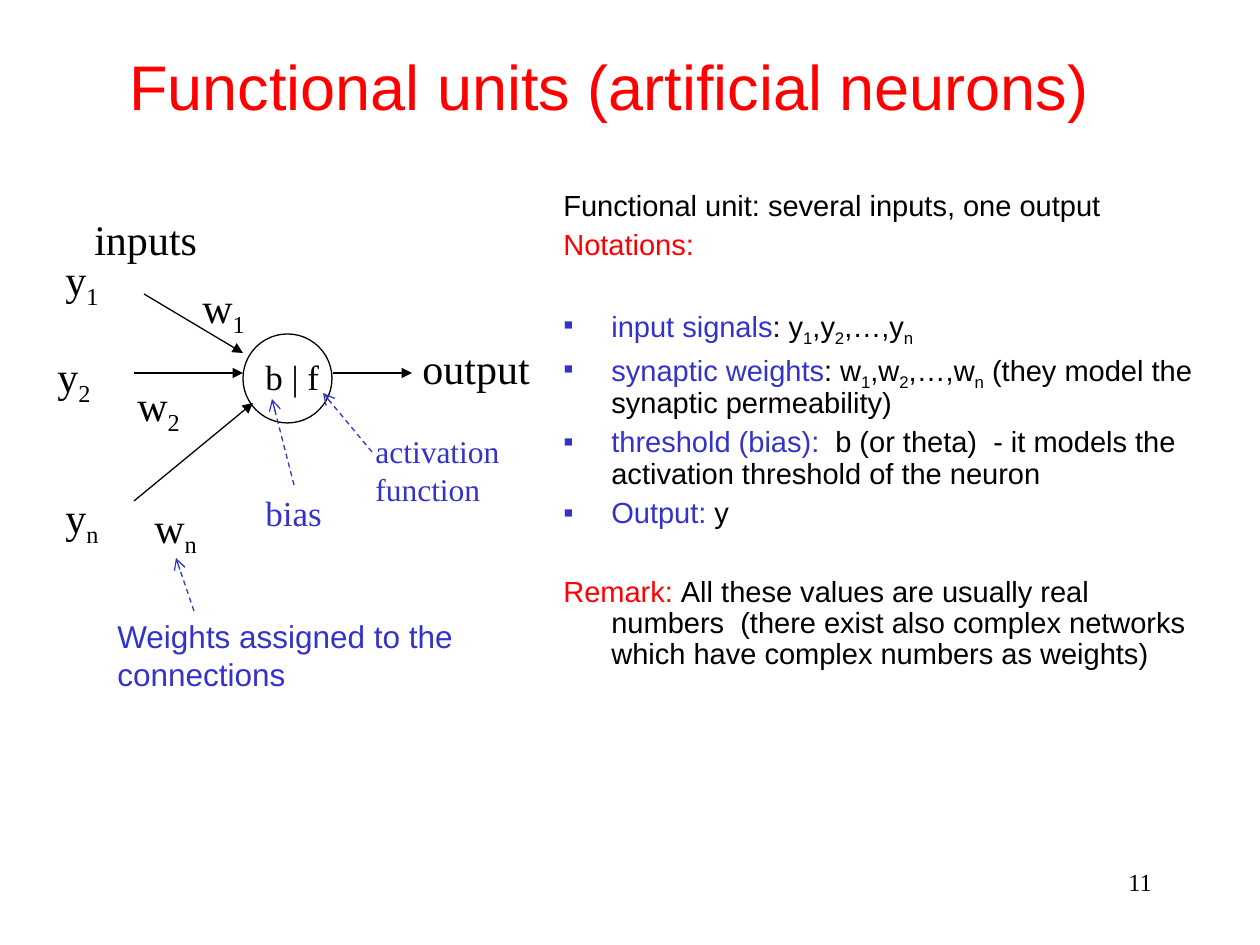
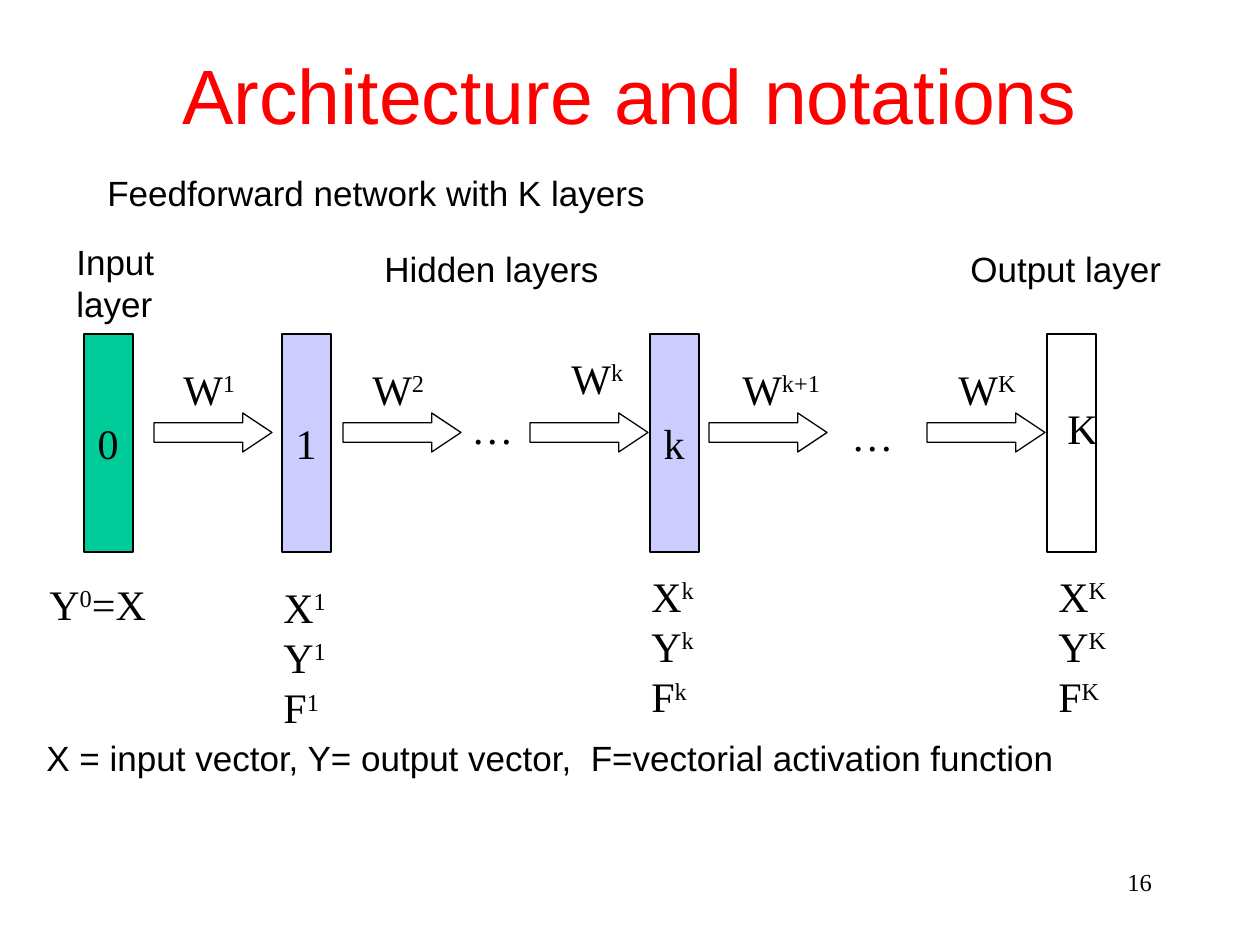
"""Build two slides on artificial neurons and feedforward network notation."""
from lxml import etree
from pptx import Presentation
from pptx.dml.color import RGBColor
from pptx.enum.dml import MSO_LINE
from pptx.enum.shapes import MSO_CONNECTOR, MSO_SHAPE
from pptx.enum.text import MSO_ANCHOR, MSO_AUTO_SIZE, PP_ALIGN
from pptx.oxml.ns import qn
from pptx.util import Emu, Pt

EMU_PER_PX = 914400 / 126
BLACK = RGBColor(0x00, 0x00, 0x00)
RED = RGBColor(0xFF, 0x00, 0x00)
BLUE = RGBColor(0x33, 0x33, 0xCC)
GREEN = RGBColor(0x00, 0xCC, 0x99)
LILAC = RGBColor(0xCC, 0xCC, 0xFF)
SANS, SERIF = "Arial", "Times New Roman"
SUB, SUP = -25000, 30000
LEFT, CENTER, RIGHT = PP_ALIGN.LEFT, PP_ALIGN.CENTER, PP_ALIGN.RIGHT
TOP, MIDDLE = MSO_ANCHOR.TOP, MSO_ANCHOR.MIDDLE
FIXED = MSO_AUTO_SIZE.NONE
STRAIGHT, DASH = MSO_CONNECTOR.STRAIGHT, MSO_LINE.DASH
RECTANGLE, OVAL, ARROW = MSO_SHAPE.RECTANGLE, MSO_SHAPE.OVAL, MSO_SHAPE.RIGHT_ARROW
HANGING = 48
INSET = 13
NUMBER_BOX = (903, 861, 262, 63)


def indexed(symbol, index, mark):
    return [symbol, (index, mark)]


def series(symbol):
    return [symbol, ("1", SUB), f",{symbol}", ("2", SUB), f",…,{symbol}", ("n", SUB)]


NEURON_TITLE = "Functional units (artificial neurons)"
NOTATION_INTRO = [
    "Functional unit: several inputs, one output",
    [("Notations:", RED)],
]
NOTATION_ITEMS = [
    [("input signals", BLUE), ": ", *series("y")],
    [("synaptic weights", BLUE), ": ", *series("w"),
     " (they model the synaptic permeability)"],
    [("threshold (bias):", BLUE),
     "  b (or theta)  - it models the activation threshold of the neuron"],
    [("Output:", BLUE), " y"],
]
REMARK = [("Remark: ", RED),
          "All these values are usually real numbers  (there exist also complex "
          "networks which have complex numbers as weights)"]
NEURON = (243, 334, 89, 89)
SIGNALS = [(144, 294, 243, 353), (134, 373, 243, 373),
           (134, 501, 253, 403), (333, 373, 412, 373)]
POINTERS = [(372, 452, 323, 393), (294, 485, 272, 399), (194, 611, 176, 558)]
INDEXED_LABELS = [
    ("w", "1", 190, 275), ("w", "2", 125, 373), ("w", "n", 142, 495),
    ("y", "1", 53, 247), ("y", "2", 45, 344), ("y", "n", 53, 485),
]
NEURON_LABELS = [
    (["inputs"], (82, 207, 127, 63), 24, BLACK),
    (["output"], (410, 336, 132, 63), 24, BLACK),
    (["b | f"], (253, 349, 78, 55), 20, BLACK),
    (["bias"], (253, 485, 82, 55), 20, BLUE),
    (["activation", "function"], (363, 426, 149, 88), 18, BLUE),
]
WEIGHTS_CAPTION = "Weights assigned to the connections"

NETWORK_TITLE = "Architecture and notations"
NETWORK_INTRO = "Feedforward network with K layers"
LAYERS = [("0", 84, GREEN), ("1", 282, LILAC), ("k", 650, LILAC), (None, 1047, None)]
LAYER_HEADINGS = [
    (["Input", "layer"], (64, 234, 112, 97)),
    (["Hidden layers"], (372, 241, 239, 55)),
    (["Output layer"], (958, 241, 215, 55)),
]
CONNECTIONS = [
    ("1", 154, (171, 357, 77, 63)),
    ("2", 343, (360, 357, 77, 63)),
    ("k", 530, (559, 346, 77, 63)),
    ("k+1", 709, (730, 357, 102, 63)),
    ("K", 927, (946, 357, 82, 63)),
]
NETWORK_LABELS = [
    ("…", (459, 396, 67, 63)),
    ("…", (839, 403, 67, 63)),
    ("K", (1055, 396, 55, 63)),
    (["Y", ("0", SUP), "=X"], (37, 572, 121, 63)),
]
LAYER_VECTORS = [("1", (271, 575, 68, 164)), ("k", (639, 564, 68, 164)),
                 ("K", (1046, 564, 73, 164))]
LEGEND = "X = input vector, Y= output vector,  F=vectorial activation function"


def px(*lengths):
    return [Emu(round(length * EMU_PER_PX)) for length in lengths]


def write(frame, paragraphs, *, size=24, font=SERIF, color=BLACK, align=LEFT, anchor=TOP,
          wrap=True, right_inset=INSET, before=0, spacing=None, hanging=0):
    """Fill a text frame; a run is a string or a pair of text and colour or baseline."""
    frame.word_wrap, frame.auto_size, frame.vertical_anchor = wrap, FIXED, anchor
    frame.margin_right = px(right_inset)[0]
    for number, runs in enumerate(paragraphs):
        paragraph = frame.add_paragraph() if number else frame.paragraphs[0]
        paragraph.alignment, paragraph.space_before = align, Pt(before)
        if spacing:
            paragraph.line_spacing = spacing
        if hanging:
            indent = px(hanging)[0]
            properties = paragraph._p.get_or_add_pPr()
            properties.set("marL", str(indent))
            properties.set("indent", str(-indent))
        for part in [runs] if isinstance(runs, str) else runs:
            text, mark = (part, None) if isinstance(part, str) else part
            run = paragraph.add_run()
            run.text = text
            run.font.name, run.font.size = font, Pt(size)
            run.font.color.rgb = mark if isinstance(mark, RGBColor) else color
            if isinstance(mark, int):
                run._r.get_or_add_rPr().set("baseline", str(mark))


def add_text(slide, paragraphs, box, **style):
    frame = slide.shapes.add_textbox(*px(*box)).text_frame
    write(frame, paragraphs, **style)
    return frame


def add_label(slide, lines, box, **style):
    add_text(slide, lines, box, right_inset=0, **style)


def add_bullet(paragraph):
    properties = paragraph._p.get_or_add_pPr()
    bullet_color = etree.SubElement(properties, qn("a:buClr"))
    etree.SubElement(bullet_color, qn("a:srgbClr"), val=str(BLUE))
    etree.SubElement(properties, qn("a:buFont"), typeface=SANS)
    etree.SubElement(properties, qn("a:buChar"), char="▪")


def add_outline(slide, preset, box, fill=None):
    shape = slide.shapes.add_shape(preset, *px(*box))
    shape.shadow.inherit = False
    if fill:
        shape.fill.solid()
        shape.fill.fore_color.rgb = fill
    else:
        shape.fill.background()
    shape.line.color.rgb, shape.line.width = BLACK, Pt(0.75)
    return shape


def add_arrow(slide, ends, color=BLACK, head="triangle", dash=None):
    connector = slide.shapes.add_connector(STRAIGHT, *px(*ends))
    connector.line.color.rgb, connector.line.width = color, Pt(0.75)
    if dash:
        connector.line.dash_style = dash
    etree.SubElement(connector.line._get_or_add_ln(), qn("a:tailEnd"), type=head)
    etree.SubElement(connector._element.spPr, qn("a:effectLst"))


def add_slide(deck, title, title_box, title_size, number):
    slide = deck.slides.add_slide(deck.slide_layouts[6])
    add_text(slide, [number], NUMBER_BOX, size=14, align=RIGHT)
    add_text(slide, [title], title_box, size=title_size, font=SANS, color=RED,
             align=CENTER, anchor=MIDDLE)
    return slide


def build_neuron(deck):
    slide = add_slide(deck, NEURON_TITLE, (74, 35, 1071, 100), 36, "11")
    body = add_text(slide, [*NOTATION_INTRO, *NOTATION_ITEMS, REMARK], (551, 185, 675, 605),
                    size=16.6, font=SANS, right_inset=28, before=4.5, spacing=0.9,
                    hanging=HANGING)
    first = len(NOTATION_INTRO)
    last = first + len(NOTATION_ITEMS)
    for paragraph in body.paragraphs[first:last]:
        add_bullet(paragraph)
    for section_start in (first, last):
        body.paragraphs[section_start].space_before = Pt(27)
    add_outline(slide, OVAL, NEURON)
    for ends in SIGNALS:
        add_arrow(slide, ends)
    for ends in POINTERS:
        add_arrow(slide, ends, color=BLUE, head="arrow", dash=DASH)
    for symbol, index, left, top in INDEXED_LABELS:
        width = 68 if symbol == "w" else 58
        add_label(slide, [indexed(symbol, index, SUB)], (left, top, width, 71))
    for lines, box, size, color in NEURON_LABELS:
        add_label(slide, lines, box, size=size, color=color)
    add_text(slide, [WEIGHTS_CAPTION], (105, 611, 367, 88), size=18, font=SANS,
             color=BLUE, before=11.2)


def build_network(deck):
    slide = add_slide(deck, NETWORK_TITLE, (95, 26, 1071, 136), 44, "16")
    add_text(slide, [NETWORK_INTRO], (95, 165, 1071, 59), size=20, font=SANS,
             before=5, hanging=HANGING)
    for name, left, fill in LAYERS:
        layer = add_outline(slide, RECTANGLE, (left, 334, 49, 218), fill)
        if name:
            write(layer.text_frame, [name], align=CENTER, anchor=MIDDLE, wrap=False)
    for lines, box in LAYER_HEADINGS:
        add_label(slide, lines, box, size=20, font=SANS)
    for index, left, box in CONNECTIONS:
        arrow = add_outline(slide, ARROW, (left, 413, 118, 39))
        arrow.adjustments[1] = 0.75
        add_label(slide, [indexed("W", index, SUP)], box)
    for label, box in NETWORK_LABELS:
        add_label(slide, [label], box)
    for index, box in LAYER_VECTORS:
        add_label(slide, [indexed(symbol, index, SUP) for symbol in "XYF"], box)
    add_text(slide, [LEGEND], (34, 730, 1226, 55), size=20, font=SANS)


def main():
    deck = Presentation()
    deck.slide_width, deck.slide_height = px(1260, 945)
    build_neuron(deck)
    build_network(deck)
    deck.save("out.pptx")


if __name__ == "__main__":
    main()
